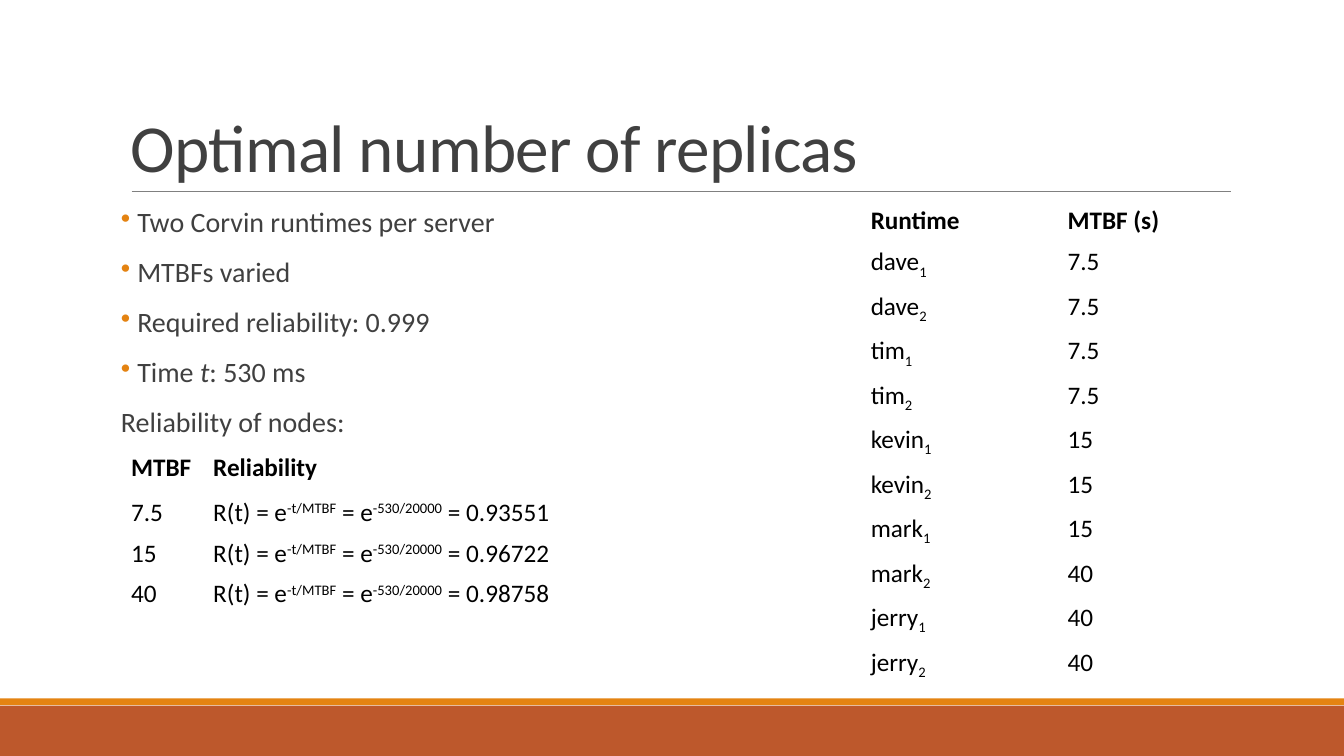
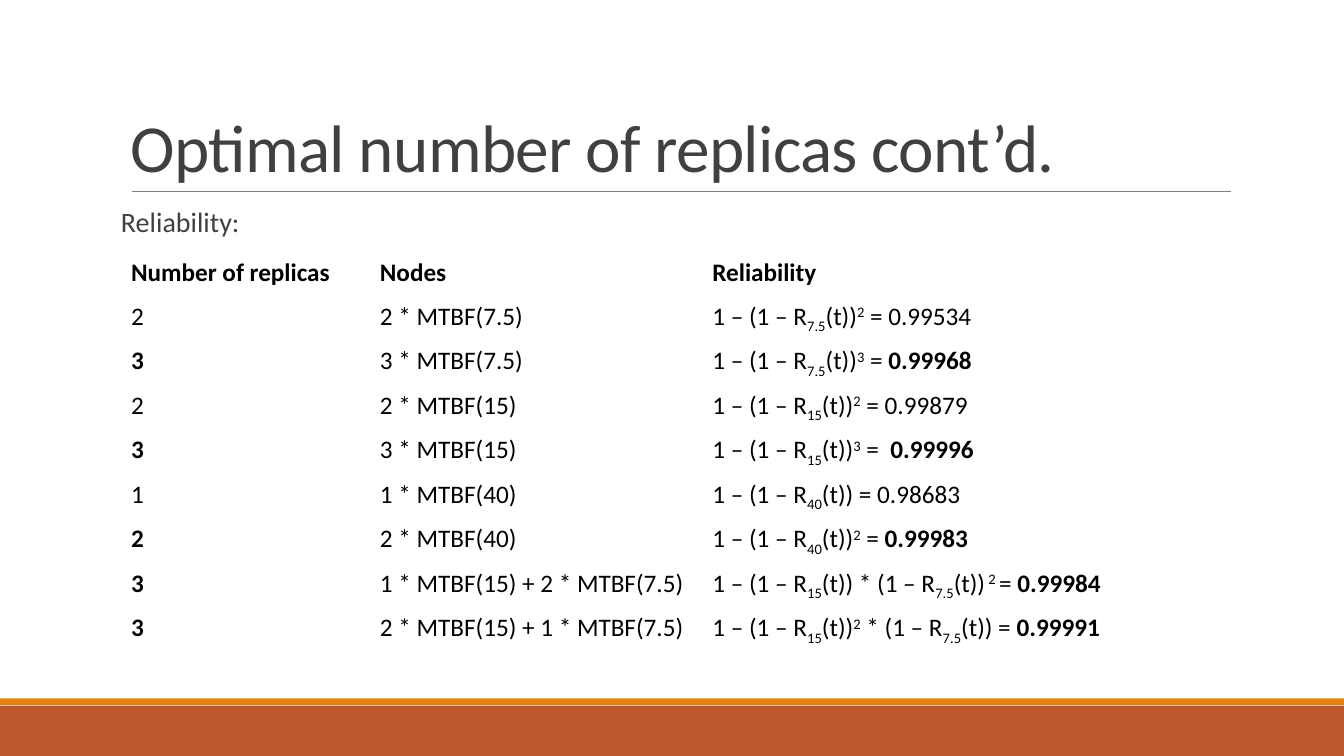
from lxml import etree
from pptx import Presentation
from pptx.dml.color import RGBColor
from pptx.enum import shapes, text as txt
from pptx.oxml import ns
from pptx.util import Cm, Pt

RUST = RGBColor(0xBD, 0x58, 0x2C)
ORANGE = RGBColor(0xE4, 0x83, 0x12)
RULE_GRAY = RGBColor(0x80, 0x80, 0x80)
DARK_GRAY = RGBColor(0x40, 0x40, 0x40)
BLACK = RGBColor(0, 0, 0)
FONT = "Calibri"
LEFT, WIDTH = Cm(3.05), Cm(27.94)
HEADER_HEIGHT, ROW_HEIGHT = Cm(1.12), Cm(1.03)
BASELINES = {"_": "-25000", "^": "30000"}


def write(frame, text, size=18, color=BLACK, bold=False, line=None,
          before=None, after=None, spacing=None, bullet=False):
    """Add a paragraph; "|" splits runs, led by _ sub, ^ super, * bold or ~ italic."""
    para = frame.paragraphs[0]
    if para.runs:
        para = frame.add_paragraph()
    para.line_spacing = line
    para.space_before, para.space_after = before, after
    if bullet:
        props = para._p.get_or_add_pPr()
        props.set("marL", str(Cm(0.41)))
        props.set("indent", str(-Cm(0.41)))
        bullet_color = etree.SubElement(props, ns.qn("a:buClr"))
        etree.SubElement(bullet_color, ns.qn("a:srgbClr"), val=str(ORANGE))
        etree.SubElement(props, ns.qn("a:buChar"), char="•")
    for part in text.split("|"):
        mark = part[0] if part[0] in "_^*~" else ""
        run = para.add_run()
        run.text = part[len(mark):]
        run.font.name, run.font.size = FONT, Pt(size)
        run.font.color.rgb = color
        run.font.bold = bold or mark == "*"
        run.font.italic = mark == "~"
        if mark in BASELINES:
            run.font._element.set("baseline", BASELINES[mark])
        if spacing:
            run.font._element.set("spc", str(spacing))


def add_grid(slide, left, top, widths, header_height, rows):
    """Add a plain table whose first row is bold."""
    grid = slide.shapes.add_table(
        len(rows), len(widths), left, top, sum(widths),
        header_height + ROW_HEIGHT * (len(rows) - 1)).table
    grid.first_row = grid.horz_banding = False
    for column, width in zip(grid.columns, widths):
        column.width = width
    for r, row in enumerate(rows):
        grid.rows[r].height = ROW_HEIGHT if r else header_height
        for c, value in enumerate(row):
            cell = grid.cell(r, c)
            cell.fill.background()
            write(cell.text_frame, value, bold=r == 0)


deck = Presentation()
deck.slide_width, deck.slide_height = Cm(33.87), Cm(19.05)

# Shared frame, title and body text
contents = [
    ("Optimal number of replicas",
     ["Two Corvin runtimes per server", "MTBFs varied",
      "Required reliability: 0.999", "Time |~t|: 530 ms"],
     "Reliability of nodes:"),
    ("Optimal number of replicas cont’d.", [], "Reliability:"),
]
for heading, points, table_intro in contents:
    slide = deck.slides.add_slide(deck.slide_layouts[6])

    for top, height, color in [(17.78, 1.27, RUST), (17.6, 0.17, ORANGE)]:
        band = slide.shapes.add_shape(shapes.MSO_SHAPE.RECTANGLE, 0, Cm(top),
                                      deck.slide_width, Cm(height))
        band.shadow.inherit = False
        band.fill.solid()
        band.fill.fore_color.rgb = color
        band.line.fill.background()

    rule = slide.shapes.add_connector(shapes.MSO_CONNECTOR.STRAIGHT,
                                      Cm(3.32), Cm(4.82), Cm(31.02), Cm(4.82))
    rule.line.color.rgb = RULE_GRAY
    rule.line.width = Pt(0.5)
    etree.SubElement(rule._element.spPr, ns.qn("a:effectLst"))

    title = slide.shapes.add_textbox(LEFT, Cm(0.79), WIDTH, Cm(4.03)).text_frame
    title.word_wrap = True
    title.vertical_anchor = txt.MSO_ANCHOR.BOTTOM
    write(title, heading, size=48, color=DARK_GRAY, line=0.85, spacing=-50)

    body = slide.shapes.add_textbox(LEFT, Cm(5.13), WIDTH, Cm(11.18)).text_frame
    body.word_wrap = True
    body.margin_left = body.margin_right = 0
    for line_text in points + [table_intro]:
        write(body, line_text, size=20, color=DARK_GRAY, line=0.9,
              before=Pt(12), after=Pt(2), bullet=line_text in points)

overview, comparison = deck.slides

# Reliability of each node type
node_rows = [("MTBF", "Reliability")]
for mtbf, value in [("7.5", "0.93551"), ("15", "0.96722"), ("40", "0.98758")]:
    node_rows.append((mtbf, f"R(t) = e|^-t/MTBF| = e|^-530/20000| = {value}"))
add_grid(overview, LEFT, Cm(11.28), [Cm(2.07), Cm(11)], HEADER_HEIGHT, node_rows)

# MTBF of each runtime, two runtimes per server
servers = ["dave", "tim", "kevin", "mark", "jerry"]
runtimes = [f"{server}|_{number}" for server in servers for number in (1, 2)]
mtbfs = ["7.5"] * 4 + ["15"] * 3 + ["40"] * 3
add_grid(overview, Cm(21.69), Cm(5.06), [Cm(4.96)] * 2, ROW_HEIGHT,
         [("Runtime", "MTBF (s)"), *zip(runtimes, mtbfs)])

# Reliability by number of replicas
replica_rows = [
    ("Number of replicas", "Nodes", "Reliability"),
    ("2", "2 * MTBF(7.5)", "1 – (1 – R|_7.5|(t))|^2| = 0.99534"),
    ("*3", "3 * MTBF(7.5)", "1 – (1 – R|_7.5|(t))|^3| = |*0.99968"),
    ("2", "2 * MTBF(15)", "1 – (1 – R|_15|(t))|^2| = 0.99879"),
    ("*3", "3 * MTBF(15)", "1 – (1 – R|_15|(t))|^3| =  |*0.99996"),
    ("1", "1 * MTBF(40)", "1 – (1 – R|_40|(t)) = 0.98683"),
    ("*2", "2 * MTBF(40)", "1 – (1 – R|_40|(t))|^2| = |*0.99983"),
    ("*3", "1 * MTBF(15) + 2 * MTBF(7.5)",
     "1 – (1 – R|_15|(t)) * (1 – R|_7.5|(t))|^ 2 |= |*0.99984"),
    ("*3", "2 * MTBF(15) + 1 * MTBF(7.5)",
     "1 – (1 – R|_15|(t))|^2| * (1 – R|_7.5|(t)) = |*0.99991"),
]
add_grid(comparison, LEFT, Cm(6.35), [Cm(6.27), Cm(8.38), Cm(12.27)],
         HEADER_HEIGHT, replica_rows)

deck.save("out.pptx")
